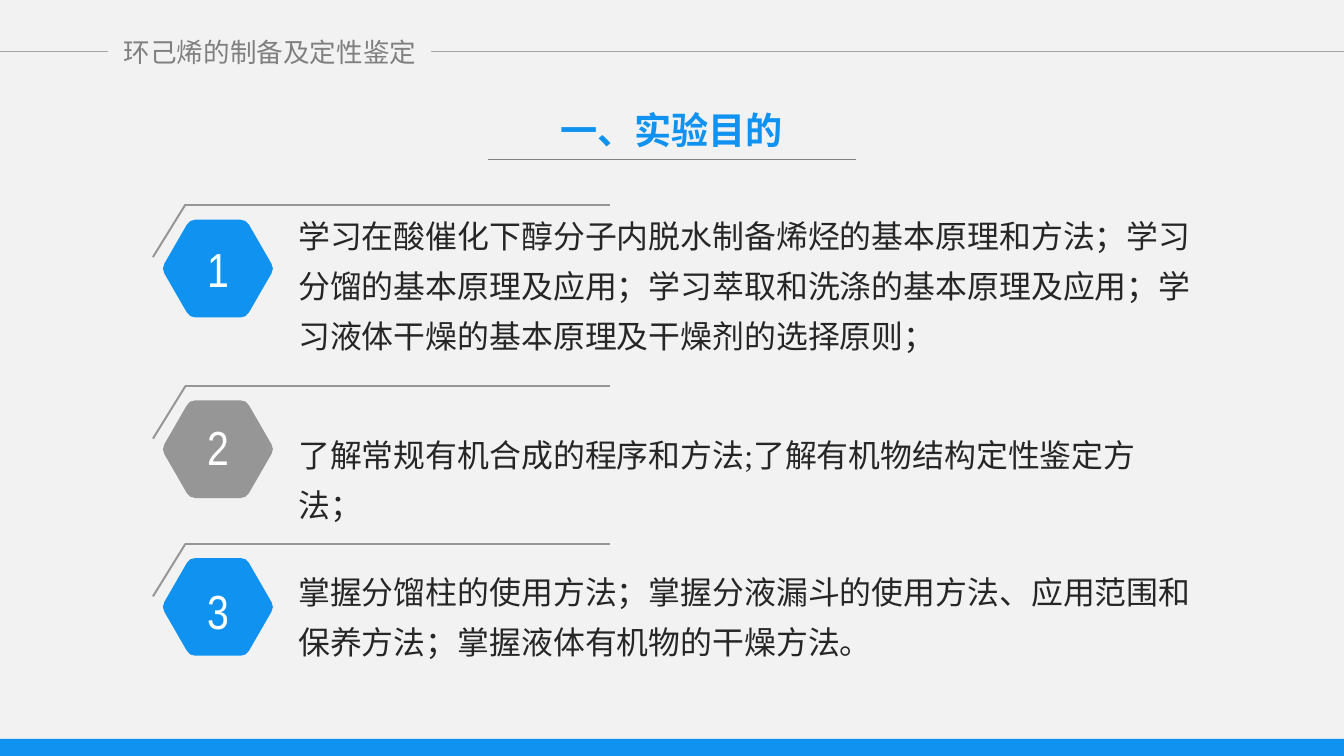
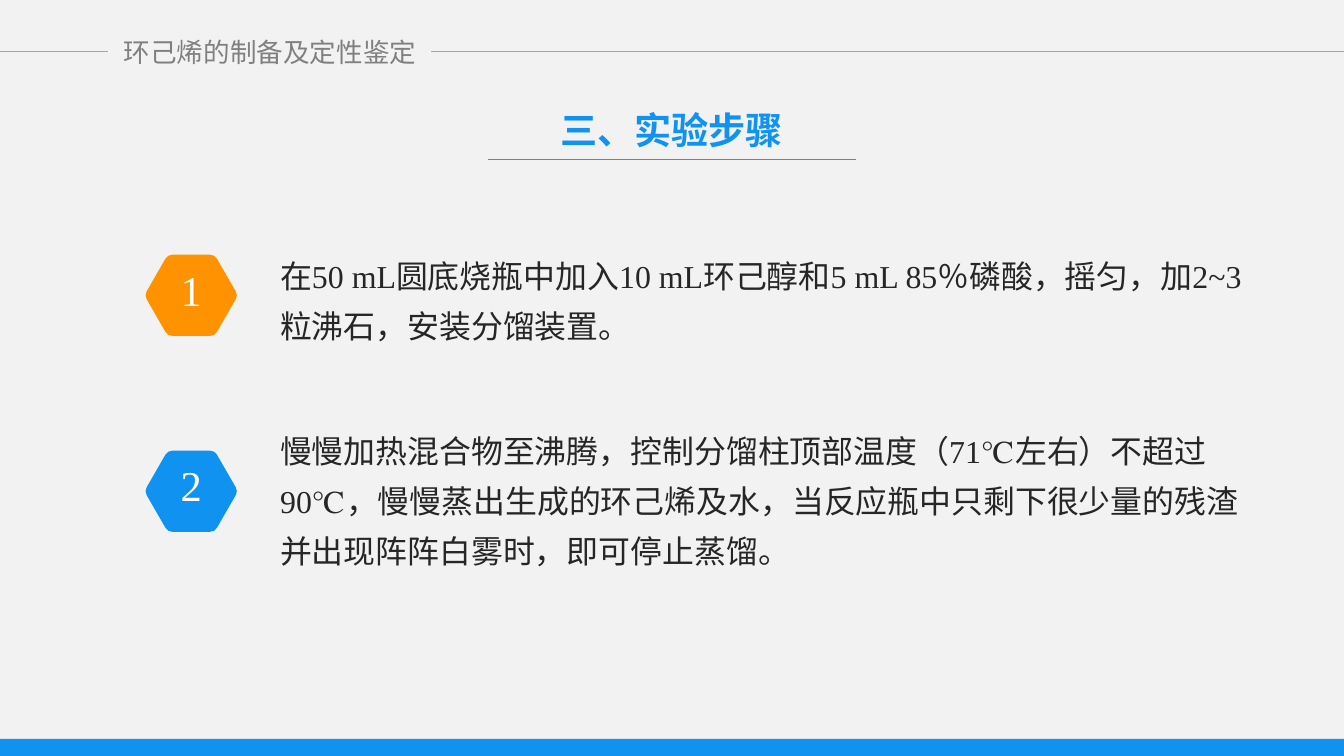
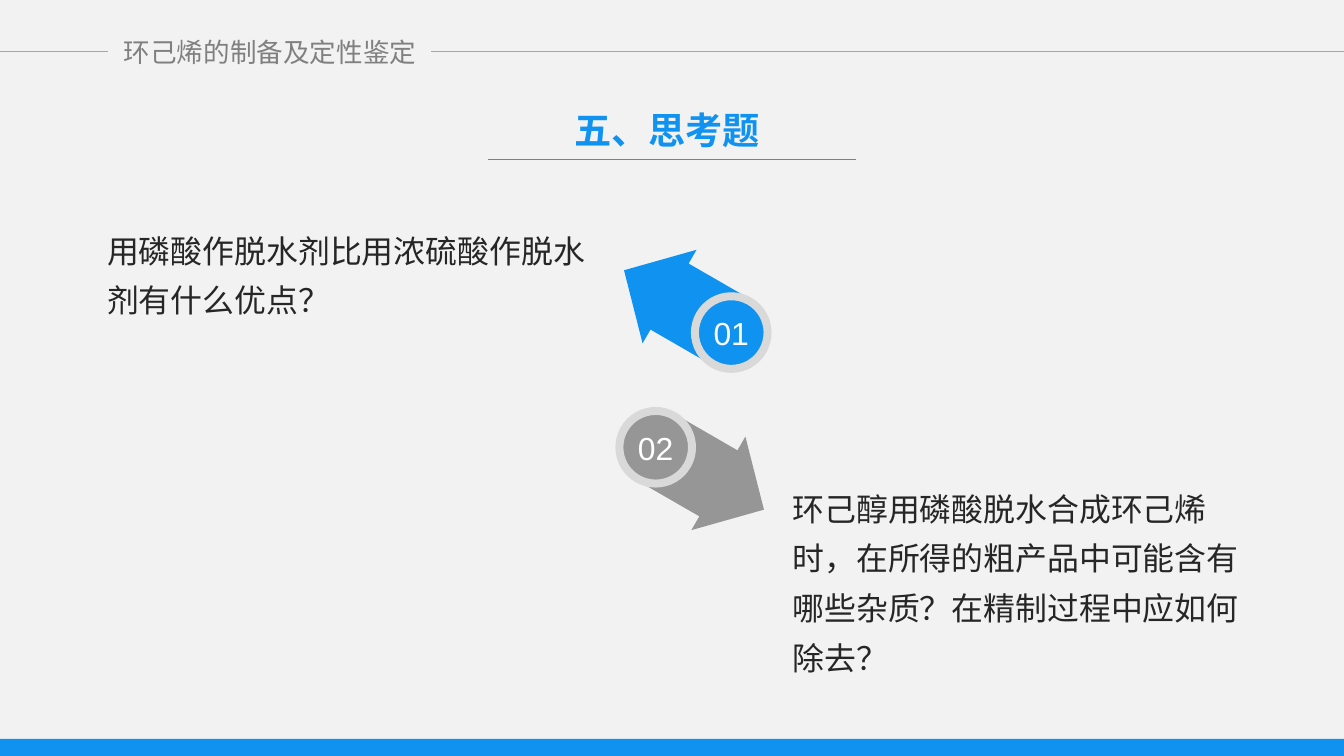
"""Build three slides on the making of cyclohexene."""
import math
from dataclasses import dataclass

from pptx import Presentation
from pptx import util as u
from pptx.dml.color import RGBColor
from pptx.enum import shapes as sh
from pptx.enum import text as tx
from pptx.oxml.xmlchemy import OxmlElement

WIDE, HIGH = 14.06, 7.91
BLUE, GREY, GOLD = "1092F1", "969696", "FF9201"
PALE, WHITE, INK = "F2F2F2", "FFFFFF", "262626"
RING, RULE, MUTE = "D9D9D9", "A6A6A6", "808080"
SERIF, SANS, THIN = "Times New Roman", "Arial", "Arial Narrow"


@dataclass
class Item:
    """A block of body text and its place."""
    left: float
    top: float
    width: float
    height: float
    words: str


@dataclass
class Badge:
    """A hexagon, given by its centre, with a number."""
    x: float
    y: float
    fill: str
    words: str
    top: float


@dataclass
class Style:
    """The size of hexagons and of their numbers."""
    radius: float
    width: float
    height: float
    size: int
    font: str


@dataclass
class Pointer:
    """An arrow with a ringed disc at its tail."""
    left: float
    top: float
    turn: int
    x: float
    y: float
    fill: str
    words: str


BIG = Style(0.59, 0.78, 0.71, 36, THIN)
SMALL = Style(0.49, 0.65, 0.64, 32, SERIF)

GOALS = [
    Item(3.12, 2.15, 9.5, 1.52, "学习在酸催化下醇分子内脱水制备烯烃的基本原理和方法；学习分馏的基本原理及应用；"
         "学习萃取和洗涤的基本原理及应用；学习液体干燥的基本原理及干燥剂的选择原则；"),
    Item(3.12, 4.44, 9.19, 1, "了解常规有机合成的程序和方法;了解有机物结构定性鉴定方法；"),
    Item(3.12, 5.87, 9.5, 1, "掌握分馏柱的使用方法；掌握分液漏斗的使用方法、应用范围和保养方法；"
         "掌握液体有机物的干燥方法。"),
]
STEPS = [
    Item(2.93, 2.57, 10.08, 1.05, "在50 mL圆底烧瓶中加入10 mL环己醇和5 mL 85％磷酸，摇匀，"
         "加2~3粒沸石，安装分馏装置。"),
    Item(2.93, 4.4, 10.08, 1.52, "慢慢加热混合物至沸腾，控制分馏柱顶部温度（71℃左右）不超过90℃，"
         "慢慢蒸出生成的环己烯及水，当反应瓶中只剩下很少量的残渣并出现阵阵白雾时，即可停止蒸馏。"),
]
TASKS = [
    Item(1.12, 2.3, 5.2, 1, "用磷酸作脱水剂比用浓硫酸作脱水剂有什么优点？"),
    Item(8.29, 5, 4.8, 2.05, "环己醇用磷酸脱水合成环己烯时，在所得的粗产品中可能含有哪些杂质？"
         "在精制过程中应如何除去？"),
]
GOAL_MARKS = [
    Badge(2.28, 2.81, BLUE, "1", 2.46),
    Badge(2.28, 4.7, GREY, "2", 4.32),
    Badge(2.28, 6.35, BLUE, "3", 6.04),
]
STEP_MARKS = [
    Badge(2, 3.09, GOLD, "1", 2.71),
    Badge(2, 5.14, BLUE, "2", 4.75),
]
POINTERS = [
    Pointer(6.44, 2.59, 210, 7.65, 3.48, BLUE, "01"),
    Pointer(6.77, 4.44, 30, 6.86, 4.68, GREY, "02"),
]


def rgb(code: str) -> RGBColor:
    """Turn a hex string into a colour."""
    return RGBColor.from_string(code)


def place(shape, left: float, top: float, width: float, height: float) -> None:
    """Set the place of a shape in inches."""
    shape.left, shape.top = u.Inches(left), u.Inches(top)
    shape.width, shape.height = u.Inches(width), u.Inches(height)


def write(shape, words: str, *, size: int, color: str, font: str = SERIF,
          bold: bool = False, align=tx.PP_ALIGN.CENTER,
          anchor=tx.MSO_ANCHOR.TOP, inset: tuple = (0, 0),
          lead: float = 1.0) -> None:
    """Fill a shape with one formatted paragraph."""
    frame = shape.text_frame
    frame.word_wrap = True
    frame.auto_size = tx.MSO_AUTO_SIZE.NONE
    frame.vertical_anchor = anchor
    frame.margin_left = frame.margin_right = u.Inches(inset[0])
    frame.margin_top = frame.margin_bottom = u.Inches(inset[1])
    para = frame.paragraphs[0]
    para.alignment, para.line_spacing = align, lead
    para.space_before = u.Pt(0)
    props = para._p.get_or_add_pPr()
    for key in ("marL", "indent", "hangingPunct"):
        props.set(key, "0")
    props.append(OxmlElement("a:buNone"))
    run = para.add_run()
    run.text = words
    run.font.size, run.font.name, run.font.bold = u.Pt(size), font, bold
    run.font.color.rgb = rgb(color)


def label(slide, box: tuple, words: str, **style):
    """Add a text box."""
    shape = slide.shapes.add_textbox(0, 0, 0, 0)
    place(shape, *box)
    write(shape, words, **style)
    return shape


def paint(shape, fill: str, edge: str = "", weight: float = 0):
    """Give a shape a flat fill and perhaps an edge."""
    shape.shadow.inherit = False
    shape.fill.solid()
    shape.fill.fore_color.rgb = rgb(fill)
    if edge:
        shape.line.color.rgb = rgb(edge)
        shape.line.width = u.Pt(weight)
    else:
        shape.line.fill.background()
    return shape


def block(slide, kind, box: tuple, fill: str, edge: str = "", weight: float = 0):
    """Add a preset shape."""
    shape = slide.shapes.add_shape(kind, *map(u.Inches, box))
    return paint(shape, fill, edge, weight)


def rule(slide, start: tuple, end: tuple, color: str, weight: float):
    """Add a straight line."""
    line = slide.shapes.add_connector(
        sh.MSO_CONNECTOR.STRAIGHT, *map(u.Inches, start + end))
    line.line.color.rgb = rgb(color)
    line.line.width = u.Pt(weight)
    line._element.spPr.append(OxmlElement("a:effectLst"))
    return line


def hexagon(slide, x: float, y: float, radius: float, fill: str) -> None:
    """Draw a regular hexagon with softened corners."""
    ends = [(x + radius * math.cos(k * math.pi / 3),
             y + radius * math.sin(k * math.pi / 3)) for k in range(6)]
    dots = []
    for k, tip in enumerate(ends):
        prior, after = [
            tuple(t + 0.1 * (e - t) for t, e in zip(tip, ends[n % 6]))
            for n in (k - 1, k + 1)]
        for t in (0, 0.5, 1):
            dots.append(tuple(
                u.Inches((1 - t) ** 2 * a + 2 * t * (1 - t) * b + t * t * c)
                for a, b, c in zip(prior, tip, after)))
    path = slide.shapes.build_freeform(*dots[0])
    path.add_line_segments(dots[1:], close=True)
    paint(path.convert_to_shape(), fill)


def badge(slide, mark: Badge, style: Style) -> None:
    """Draw a hexagon and its number."""
    hexagon(slide, mark.x, mark.y, style.radius, mark.fill)
    box = (mark.x - style.width / 2, mark.top, style.width, style.height)
    label(slide, box, mark.words, size=style.size, font=style.font,
          color=WHITE, inset=(0.1, 0.05))


def pointer(slide, mark: Pointer) -> None:
    """Draw an arrow, its disc and its number."""
    arrow = block(slide, sh.MSO_SHAPE.RIGHT_ARROW,
                  (mark.left, mark.top, 1.31, 1.13), mark.fill)
    arrow.adjustments[0], arrow.adjustments[1] = 0.706, 0.487
    arrow.rotation = mark.turn
    block(slide, sh.MSO_SHAPE.OVAL,
          (mark.x - 0.38, mark.y - 0.38, 0.76, 0.76), mark.fill, RING, 6)
    label(slide, (mark.x - 0.25, mark.y - 0.2, 0.5, 0.4), mark.words,
          size=24, font=SANS, color=WHITE, anchor=tx.MSO_ANCHOR.MIDDLE)


def dress(slide, layout) -> None:
    """Draw the shared header and band and move them to the layout."""
    parts = [
        block(slide, sh.MSO_SHAPE.RECTANGLE, (0, 7.73, WIDE, 0.18), BLUE),
        label(slide, (1.29, 0.37, 3.07, 0.34), "环己烯的制备及定性鉴定", size=20,
              font=SANS, color=MUTE, anchor=tx.MSO_ANCHOR.MIDDLE),
        rule(slide, (0, 0.54), (1.13, 0.54), RULE, 1.25),
        rule(slide, (4.51, 0.54), (WIDE, 0.54), RULE, 1.25),
        rule(slide, (5.1, 1.67), (8.96, 1.67), MUTE, 1),
    ]
    for part in parts:
        layout.shapes.element.append(part._element)


def start(deck, layout, title: str, items: list):
    """Add a slide with its title and body texts."""
    slide = deck.slides.add_slide(layout)
    head, *slots = slide.placeholders
    place(head, 5.53, 1.12, 2.99, 0.47)
    write(head, title, size=28, color=BLUE, bold=True)
    for slot, item in zip(slots, items):
        place(slot, item.left, item.top, item.width, item.height)
        write(slot, item.words, size=24, color=INK, lead=1.3,
              align=tx.PP_ALIGN.LEFT)
    for spare in slots[len(items):]:
        spare.element.getparent().remove(spare.element)
    return slide


def main() -> None:
    """Build and save the deck."""
    deck = Presentation()
    deck.slide_width, deck.slide_height = u.Inches(WIDE), u.Inches(HIGH)
    ground = deck.slide_master.background.fill
    ground.solid()
    ground.fore_color.rgb = rgb(PALE)
    layout = deck.slide_layouts.get_by_name("Comparison")

    goals = start(deck, layout, "一、实验目的", GOALS)
    dress(goals, layout)
    for mark in GOAL_MARKS:
        badge(goals, mark, BIG)
    for top in (2.14, 4.04, 5.69):
        rule(goals, (1.6, top + 0.55), (1.94, top), GREY, 1.5)
        rule(goals, (1.94, top), (6.38, top), GREY, 1.5)

    steps = start(deck, layout, "三、实验步骤", STEPS)
    for mark in STEP_MARKS:
        badge(steps, mark, SMALL)

    tasks = start(deck, layout, "五、思考题 ", TASKS)
    for mark in POINTERS:
        pointer(tasks, mark)

    deck.save("out.pptx")


if __name__ == "__main__":
    main()
